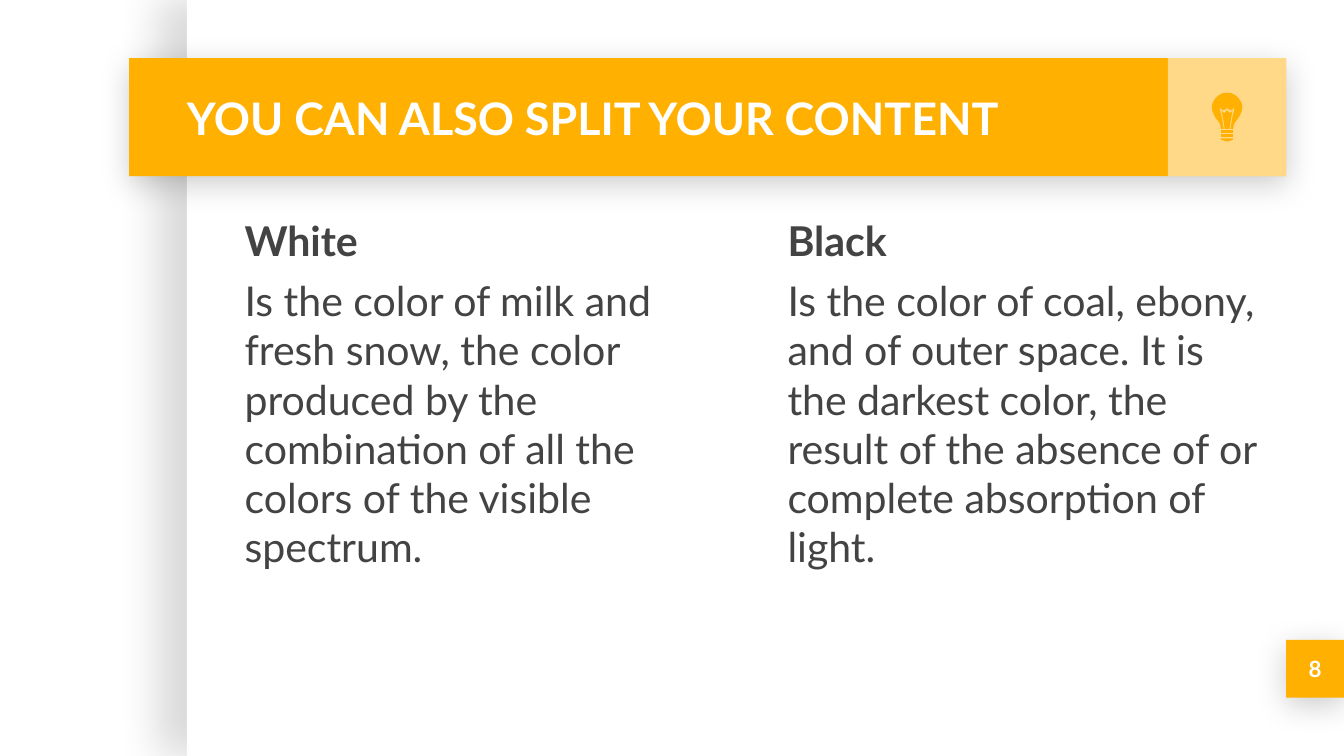
import pptx
import pptx.dml.color
import pptx.enum.shapes
import pptx.enum.text
import pptx.oxml
import pptx.oxml.ns
import pptx.util
import lxml.etree

qn = pptx.oxml.ns.qn
align = pptx.enum.text.PP_ALIGN
anchor = pptx.enum.text.MSO_ANCHOR
colour = pptx.dml.color.RGBColor.from_string

deck = pptx.Presentation()
deck.slide_width = pptx.util.Inches(10)
deck.slide_height = deck.slide_width * 9 // 16
cell = deck.slide_width / 100
slide = deck.slides.add_slide(deck.slide_layouts[3])


def paint(shape, fill, shadow=None):
    shape.fill.solid()
    shape.fill.fore_color.rgb = colour(fill)
    shape.line.fill.background()
    shape.shadow.inherit = False
    if shadow:
        alpha, blur, distance, angle = shadow
        effects = shape._element.spPr.find(qn("a:effectLst"))
        outer = lxml.etree.SubElement(
            effects, qn("a:outerShdw"), blurRad=str(pptx.util.Pt(blur)),
            dist=str(pptx.util.Pt(distance)), dir=str(angle * 60000),
            algn="bl", rotWithShape="0")
        black = lxml.etree.SubElement(outer, qn("a:srgbClr"), val="000000")
        lxml.etree.SubElement(black, qn("a:alpha"), val=str(alpha * 1000))


def write(paragraph, text, size, ink, bold=True):
    paragraph.text = text
    paragraph.font.name = "Lato"
    paragraph.font.size = pptx.util.Pt(size)
    paragraph.font.bold = bold
    paragraph.font.color.rgb = colour(ink)


side_shadow = (15, 22.5, 15, 180)
drop_shadow = (20, 16.9, 3.8, 90)
page_area = (95.7, 47.62, 4.3, 4.3)
for area, fill, shadow in [
    ((13.9, 0, 86.1, 56.25), "FFFFFF", side_shadow),
    (page_area, "FFB000", drop_shadow),
    ((9.6, 4.32, 86.1, 8.8), "FFB000", drop_shadow),
    ((86.9, 4.32, 8.8, 8.8), "FFFFFF", None),
]:
    block = slide.shapes.add_shape(
        pptx.enum.shapes.MSO_SHAPE.RECTANGLE, *[int(cell * n) for n in area])
    paint(block, fill, shadow)

icon_tint = block._element.spPr.find(".//" + qn("a:srgbClr"))
lxml.etree.SubElement(icon_tint, qn("a:alpha"), val="53000")

title, white, black = slide.placeholders
page = slide.shapes.add_textbox(0, 0, 0, 0)
for holder, area in [
    (white, (17.2, 15, 38.1, 37)),
    (title, (12.9, 4.32, 73.7, 8.8)),
    (black, (57.6, 15, 38.1, 37)),
    (page, page_area),
]:
    holder.left, holder.top, holder.width, holder.height = [int(cell * n) for n in area]
    frame = holder.text_frame
    frame.word_wrap = True
    frame.auto_size = pptx.enum.text.MSO_AUTO_SIZE.NONE
    frame.margin_left = frame.margin_right = pptx.util.Inches(0.1)
    frame.margin_top = frame.margin_bottom = pptx.util.Inches(0.1)
    slide.shapes._spTree.append(holder._element)

for line, text, size, side in [
    (title, "YOU CAN ALSO SPLIT YOUR CONTENT", 24, align.LEFT),
    (page, "8", 12, align.CENTER),
]:
    line.text_frame.vertical_anchor = anchor.MIDDLE
    line.text_frame.paragraphs[0].alignment = side
    write(line.text_frame.paragraphs[0], text, size, "FFFFFF")

for column, heading, description in [
    (white, "White", "Is the color of milk and fresh snow, the color produced by "
     "the combination of all the colors of the visible spectrum."),
    (black, "Black", "Is the color of coal, ebony, and of outer space. It is the "
     "darkest color, the result of the absence of or complete absorption of light."),
]:
    column.text_frame.vertical_anchor = anchor.TOP
    column.text_frame.add_paragraph()
    for paragraph, text in zip(column.text_frame.paragraphs, (heading, description)):
        write(paragraph, text, 22, "434343", bold=text == heading)
        paragraph.space_before = pptx.util.Pt(6)
        properties = paragraph._p.get_or_add_pPr()
        properties.set("marL", "0")
        properties.set("indent", "0")
        properties.insert_element_before(
            pptx.oxml.parse_xml(f'<a:buNone {pptx.oxml.ns.nsdecls("a")}/>'),
            "a:tabLst", "a:defRPr", "a:extLst")

bulb_centre = 91.3
glass = [(0, 6.9), (0.3, 6.93), (0.6, 7.07), (0.9, 7.35), (1.09, 7.7), (1.14, 8),
         (1.08, 8.3), (0.9, 8.7), (0.6, 9.1), (0.5, 9.3), (0.46, 9.6), (0.25, 9.6),
         (0.4, 8.7), (0.55, 8.1), (0.5, 8.03), (0.4, 8.15), (0.25, 8.2),
         (0.1, 8.12), (0, 8.03)]
filament = [(0, 8.2), (0.15, 8.37), (0.25, 8.4), (0.4, 8.23), (0.17, 9.6)]
upper_thread = [(0.46, 9.7), (0.46, 9.9)]
lower_thread = [(0.46, 10), (0.46, 10.2)]
tip = [(0.46, 10.3), (0.43, 10.4), (0.1, 10.53)]

bulb = slide.shapes.add_group_shape()
for half in (lower_thread, upper_thread, tip, filament, glass):
    outline = half + [(-x, y) for x, y in reversed(half)]
    points = [(int(cell * (bulb_centre + x)), int(cell * y)) for x, y in outline]
    builder = bulb.shapes.build_freeform(*points[0])
    builder.add_line_segments(points[1:], close=True)
    paint(builder.convert_to_shape(), "FFB000")

deck.save("out.pptx")
